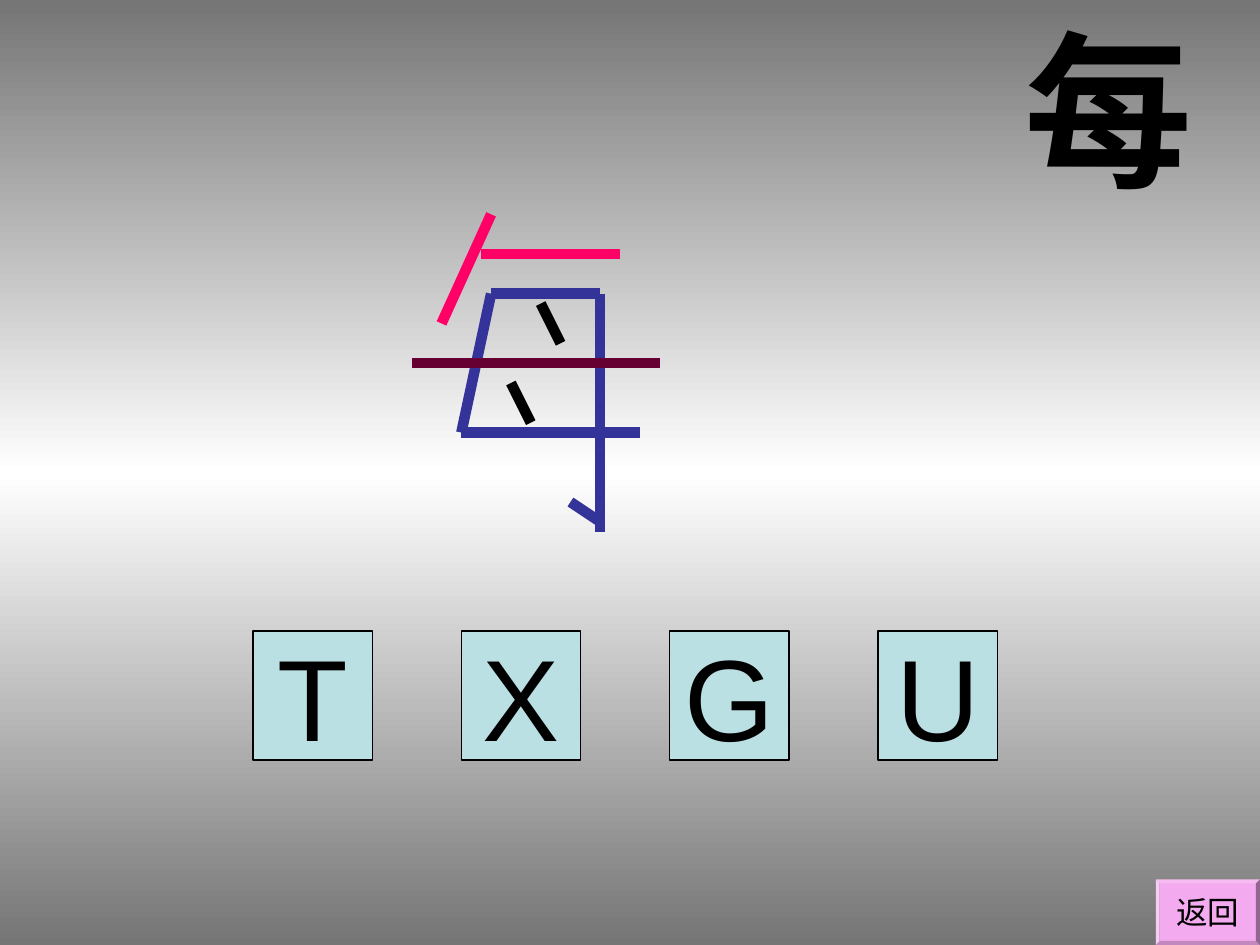
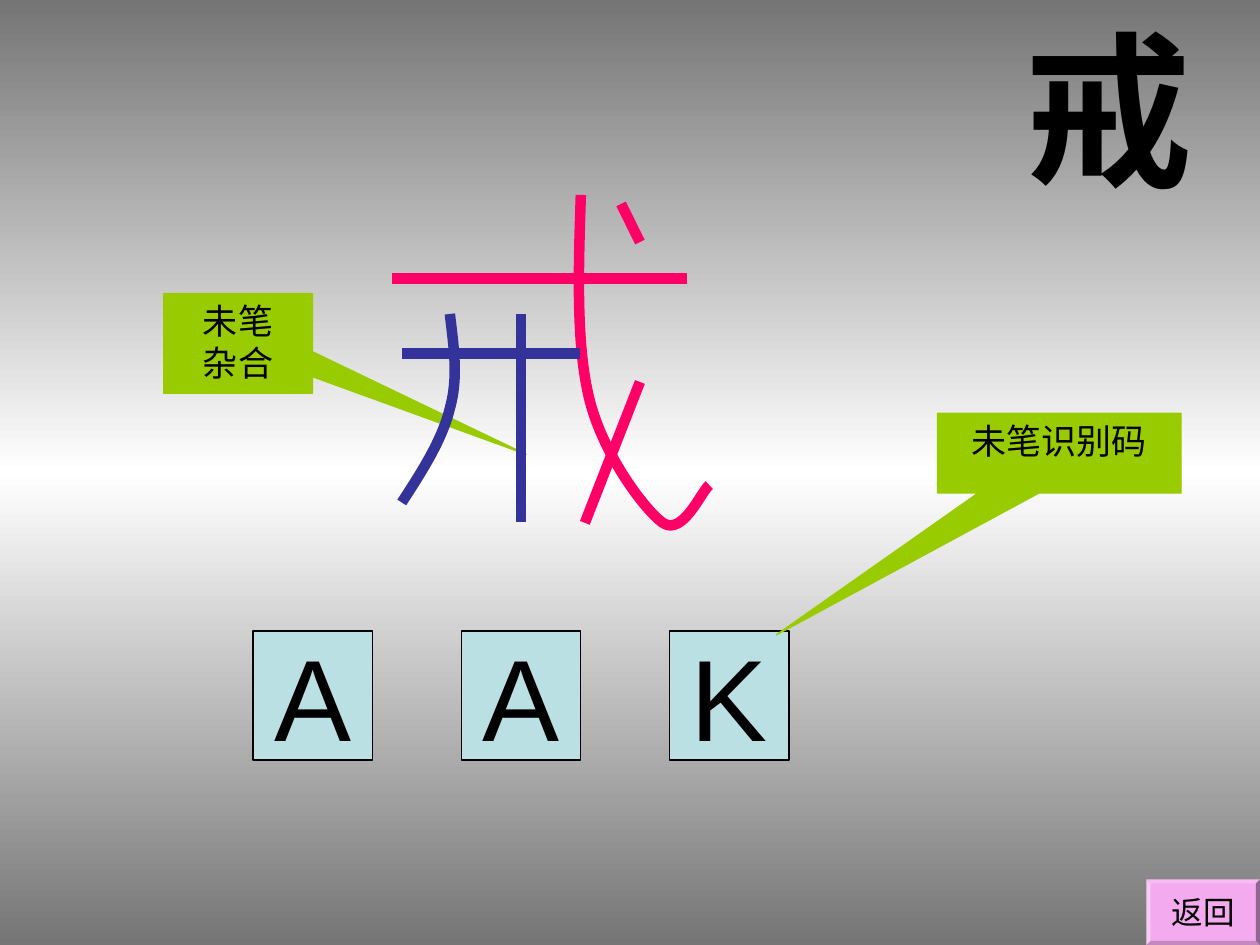
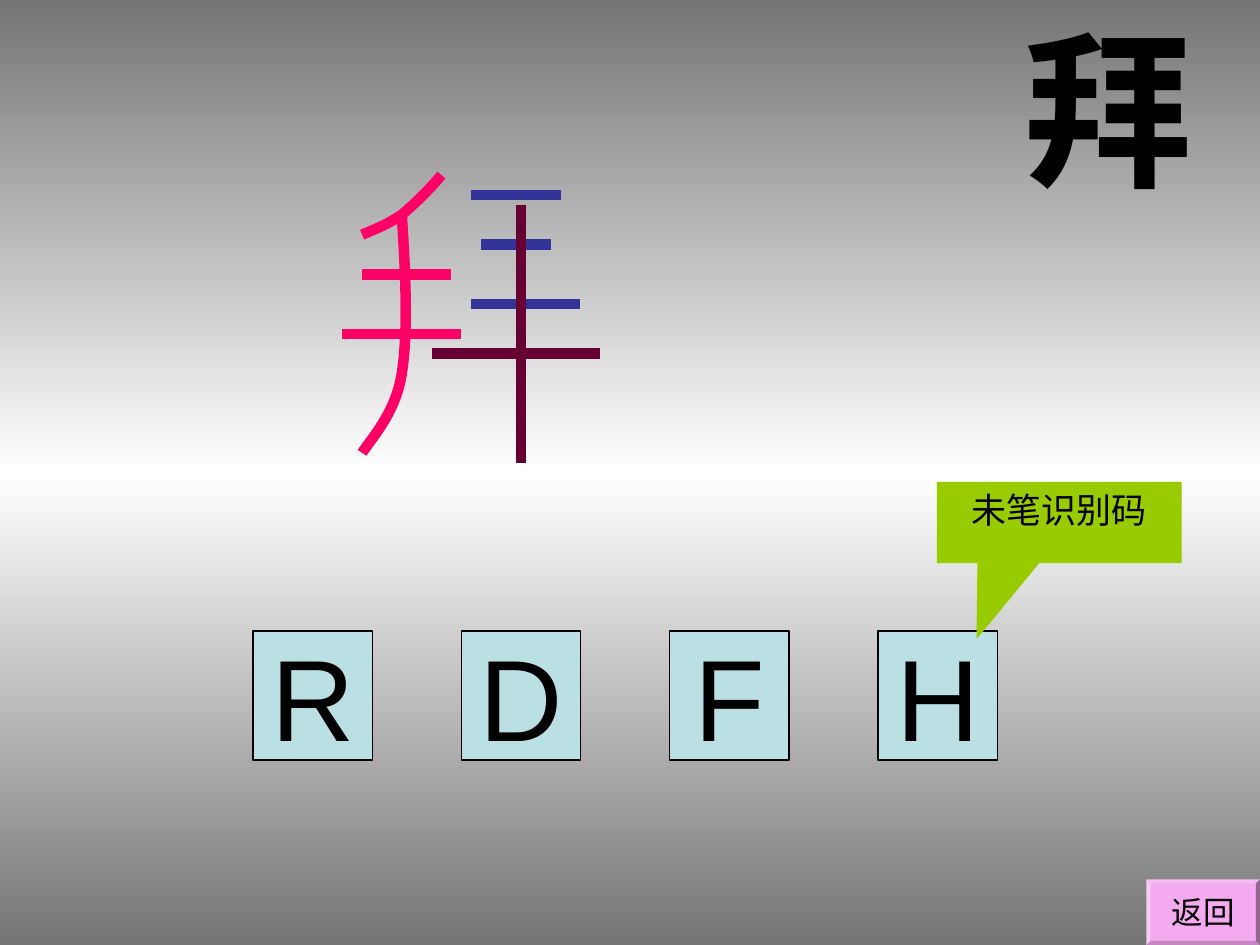
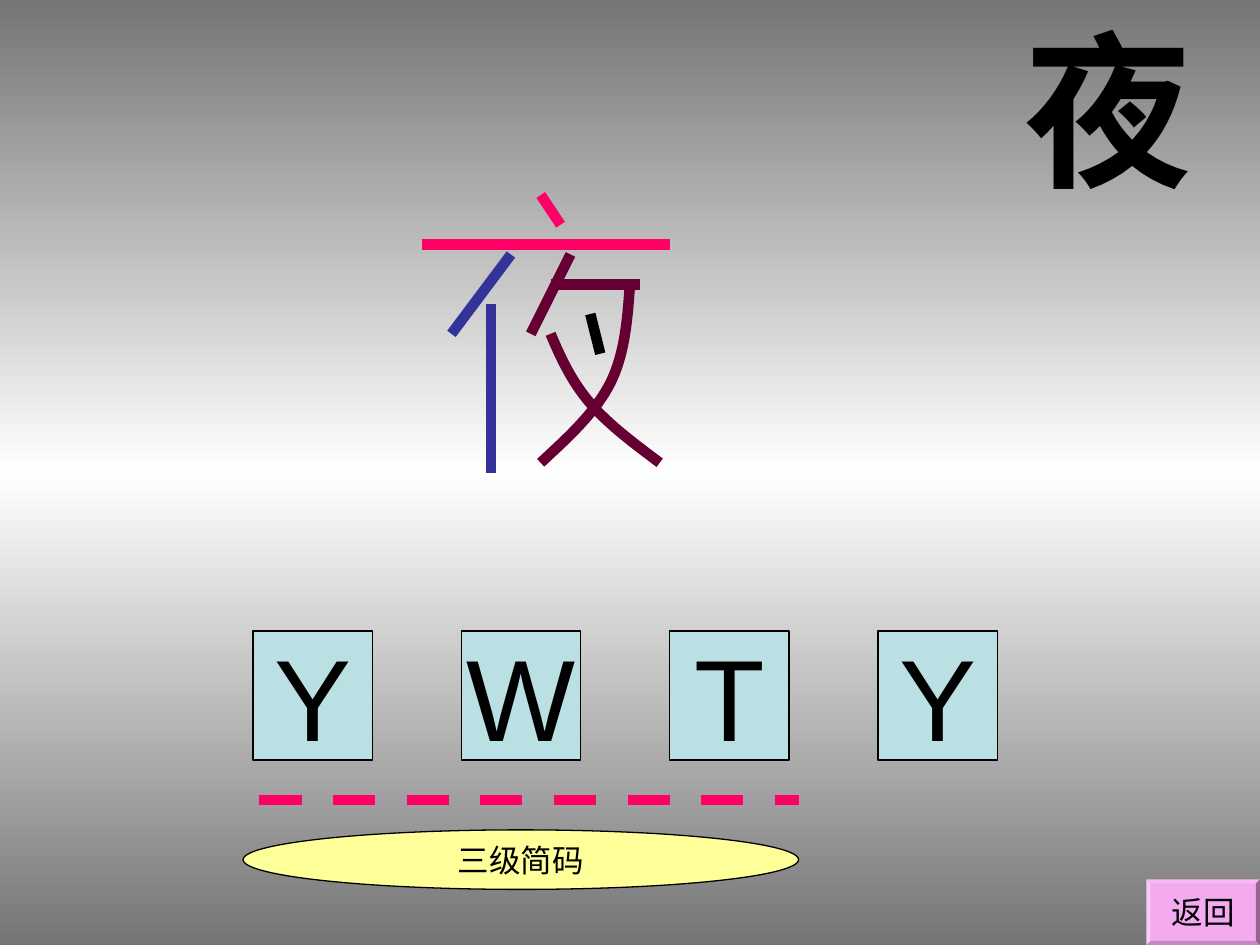
"""Build four slides that split Chinese characters into coloured strokes and key codes."""
import copy

import lxml.etree
import pptx
import pptx.dml.color
import pptx.enum.dml
import pptx.enum.shapes
import pptx.enum.text
import pptx.oxml.ns
import pptx.util

Cm = pptx.util.Cm
Pt = pptx.util.Pt
qn = pptx.oxml.ns.qn
SHAPES = pptx.enum.shapes.MSO_SHAPE
ALIGN = pptx.enum.text.PP_ALIGN
ANCHOR = pptx.enum.text.MSO_ANCHOR

PAGE_WIDTH, PAGE_HEIGHT = 25.4, 19.05
FONT = "Arial"
BLACK, RED, BLUE, MAROON = "000000", "FF0066", "333399", "660033"
KEY_FILL, NOTE_FILL, BUTTON_FILL, OVAL_FILL = "BBE0E3", "99CC00", "F4AAEF", "FFFF99"
BACKDROP = [(0, "757575"), (0.5, "FFFFFF"), (1, "757575")]
TITLE_BOX = (20.4, 0, 5.0, 4.32)
KEYS_BOX = (5.1, 12.72, 2.41, 2.6)
KEY_STEP = 4.2
BUTTON_HEIGHT = 1.32
STROKE_WIDTH = 6

CHARACTERS = [
    {
        "title": "每", "keys": "TXGU", "button": 2.1, "origin": (8.3, 4.32),
        "strokes": [
            (RED, [[(1.6, 0), (0.6, 2.2)], [(1.4, 0.8), (4.2, 0.8)]]),
            (BLUE, [
                [(1.6, 1.6), (1, 4.4)], [(1.6, 1.6), (3.8, 1.6)],
                [(3.8, 1.6), (3.8, 6.4)], [(3.2, 5.8), (3.8, 6.2)],
                [(1, 4.4), (4.6, 4.4)],
            ]),
            (MAROON, [[(0, 3), (5, 3)]]),
            (BLACK, [[(2.6, 1.8), (3, 2.6)], [(2, 3.4), (2.4, 4.2)]]),
        ],
    },
    {
        "title": "戒", "keys": "AAK", "button": 2.29, "origin": (7.9, 3.93),
        "notes": [
            ((18.9, 8.33, 4.91, 1.61), (-1.162, 2.277), ["未笔识别码"]),
            ((3.3, 5.92, 3, 2.01), (1.936, 1.112), ["未笔", "杂合"]),
        ],
        "strokes": [
            (RED, [
                [(0, 1.68), (5.94, 1.68)],
                [(3.81, 0), (3.76, 1.53), (3.71, 3.05), (3.99, 4.15), (4.27, 5.24),
                 (5.08, 6.33), (5.46, 6.61), (5.87, 6.89), (6.25, 5.95), (6.4, 5.85)],
                [(4.62, 0.18), (5, 0.95)], [(5, 3.77), (3.89, 6.61)],
            ]),
            (BLUE, [
                [(0.2, 3.2), (3.8, 3.2)], [(2.6, 2.4), (2.6, 6.6)],
                [(1.17, 2.4), (1.24, 3.03), (1.35, 3.66), (1.17, 4.3),
                 (1.02, 4.93), (0.61, 5.57), (0.2, 6.2)],
            ]),
        ],
    },
    {
        "title": "拜", "keys": "RDFH", "button": 2.29, "origin": (6.9, 3.53),
        "notes": [((18.9, 9.73, 4.91, 1.61), (-0.337, 1.439), ["未笔识别码"])],
        "strokes": [
            (RED, [
                [(2, 0), (1.74, 0.31), (1.46, 0.58), (1.2, 0.8),
                 (0.92, 0.99), (0.67, 1.09), (0.4, 1.2)],
                [(0.4, 2), (2.2, 2)], [(0, 3.2), (2.4, 3.2)],
                [(1.2, 0.8), (1.28, 2), (1.33, 3.2), (1.2, 4),
                 (1.08, 4.8), (0.57, 5.33), (0.4, 5.6)],
            ]),
            (BLUE, [
                [(2.6, 0.4), (4.4, 0.4)], [(2.8, 1.4), (4.2, 1.4)],
                [(2.6, 2.6), (4.8, 2.6)],
            ]),
            (MAROON, [[(1.8, 3.6), (5.2, 3.6)], [(3.6, 0.6), (3.6, 5.8)]]),
        ],
    },
    {
        "title": "夜", "keys": "YWTY", "button": 2.29, "origin": (8.5, 3.93),
        "short_code": ((4.9, 16.13, 11.2, 1.8), "三级简码"),
        "strokes": [
            (RED, [[(2.4, 0), (2.8, 0.6)], [(0, 1), (5, 1)]]),
            (BLUE, [[(1.8, 1.2), (0.6, 2.8)], [(1.4, 2.2), (1.4, 5.6)]]),
            (BLACK, [[(3.4, 2.4), (3.6, 3.2)]]),
            (MAROON, [
                [(3, 1.2), (2.2, 2.8)], [(2.6, 1.8), (4.4, 1.8)],
                [(4.2, 1.8), (4.15, 2.5), (4.1, 3.2), (3.8, 3.8),
                 (3.49, 4.4), (2.96, 4.88), (2.4, 5.4)],
                [(2.6, 2.8), (2.8, 3.28), (3.03, 3.77), (3.4, 4.2),
                 (3.77, 4.63), (4.28, 5.01), (4.8, 5.4)],
            ]),
        ],
    },
]


def rgb(hex_string):
    """Return the colour for a hex string."""
    return pptx.dml.color.RGBColor.from_string(hex_string)


def set_line(item, color, width):
    """Give a shape or connector a solid line."""
    item.line.color.rgb = rgb(color)
    item.line.width = Pt(width)


def write(shape, lines, size, align=ALIGN.CENTER, anchor=ANCHOR.MIDDLE, wrap=False, bold=False):
    """Write one paragraph per line into a shape."""
    frame = shape.text_frame
    frame.word_wrap = wrap
    frame.vertical_anchor = anchor
    frame.margin_left = frame.margin_right = Pt(7.2)
    frame.margin_top = frame.margin_bottom = Pt(3.6)
    for index, line in enumerate(lines):
        para = frame.add_paragraph() if index else frame.paragraphs[0]
        para.alignment = align
        span = para.add_run()
        span.text = line
        span.font.name = FONT
        span.font.size = Pt(size)
        span.font.bold = bold
        span.font.color.rgb = rgb(BLACK)


def add_filled(shapes, kind, box, fill, outline=None):
    """Add a flat preset shape with an optional thin outline."""
    shape = shapes.add_shape(kind, *map(Cm, box))
    shape.shadow.inherit = False
    shape.fill.solid()
    shape.fill.fore_color.rgb = rgb(fill)
    if outline:
        set_line(shape, outline, 0.75)
    else:
        shape.line.fill.background()
    return shape


def add_straight(shapes, start, end, color):
    """Add a thick straight stroke."""
    connector = shapes.add_connector(
        pptx.enum.shapes.MSO_CONNECTOR.STRAIGHT, *map(Cm, (*start, *end)))
    set_line(connector, color, STROKE_WIDTH)
    lxml.etree.SubElement(connector.element.spPr, qn("a:effectLst"))
    return connector


def add_curve(shapes, points, color):
    """Add a thick stroke of cubic segments through a start and triples of points."""
    start, *rest = [(Cm(x), Cm(y)) for x, y in points]
    builder = shapes.build_freeform(*start)
    builder.add_line_segments(rest, close=False)
    shape = builder.convert_to_shape()
    shape.shadow.inherit = False
    shape.fill.background()
    set_line(shape, color, STROKE_WIDTH)
    outline = next(shape.element.iter(qn("a:path")))
    corners = outline.findall(qn("a:lnTo"))
    for first in range(0, len(corners), 3):
        curve = lxml.etree.SubElement(outline, qn("a:cubicBezTo"))
        for corner in corners[first:first + 3]:
            curve.append(corner[0])
            outline.remove(corner)


def add_glyph(page, origin, strokes):
    """Draw a character from its origin, one group per colour."""
    left, top = origin
    for color, lines in strokes:
        shapes = page.shapes.add_group_shape().shapes if len(lines) > 1 else page.shapes
        for line in lines:
            points = [(left + x, top + y) for x, y in line]
            if len(points) == 2:
                add_straight(shapes, *points, color)
            else:
                add_curve(shapes, points, color)


def add_title(page, text, box):
    """Place the character as the slide title."""
    title = page.shapes.title
    title.left, title.top, title.width, title.height = map(Cm, box)
    write(title, [text], 96, ALIGN.LEFT, ANCHOR.TOP, wrap=True, bold=True)
    title.text_frame.auto_size = pptx.enum.text.MSO_AUTO_SIZE.SHAPE_TO_FIT_TEXT


def add_keys(page, letters, box):
    """Lay out the key caps in a row from the first key's box."""
    left, top, width, height = box
    for index, letter in enumerate(letters):
        key_box = (left + index * KEY_STEP, top, width, height)
        key = add_filled(page.shapes, SHAPES.RECTANGLE, key_box, KEY_FILL, BLACK)
        write(key, [letter], 66)


def add_note(page, box, tip, lines):
    """Add a callout whose tip is given relative to its size."""
    note = add_filled(page.shapes, SHAPES.RECTANGULAR_CALLOUT, box, NOTE_FILL, NOTE_FILL)
    note.adjustments[0], note.adjustments[1] = tip
    write(note, lines, 20, anchor=ANCHOR.TOP, wrap=True)


def add_short_code(page, box, label):
    """Add a dashed rule along the top of the box and a labelled oval below it."""
    left, top, width, height = box
    shapes = page.shapes.add_group_shape().shapes
    rule = add_straight(shapes, (left + 0.33, top), (left + width, top), RED)
    rule.line.dash_style = pptx.enum.dml.MSO_LINE.DASH
    oval_box = (left, top + 0.6, width, height - 0.6)
    write(add_filled(shapes, SHAPES.OVAL, oval_box, OVAL_FILL, BLACK), [label], 18)


def add_button(page, width):
    """Add the return button in the bottom right corner."""
    box = (PAGE_WIDTH - width, PAGE_HEIGHT - BUTTON_HEIGHT, width, BUTTON_HEIGHT)
    button = add_filled(page.shapes, SHAPES.BEVEL, box, BUTTON_FILL)
    button.adjustments[0] = 0.06
    write(button, ["返回"], 18)


def set_backdrop(master):
    """Give the master a vertical gradient that every slide inherits."""
    fill = master.background.fill
    fill.gradient()
    fill.gradient_angle = 90
    stop_list = next(master.element.iter(qn("a:gsLst")))
    stop_list.append(copy.deepcopy(stop_list[0]))
    for stop, (position, color) in zip(fill.gradient_stops, BACKDROP):
        stop.position = position
        stop.color.rgb = rgb(color)


def add_character_page(deck, character):
    """Add the slide for one character."""
    page = deck.slides.add_slide(deck.slide_layouts[5])
    add_title(page, character["title"], TITLE_BOX)
    add_keys(page, character["keys"], KEYS_BOX)
    for note in character.get("notes", []):
        add_note(page, *note)
    if "short_code" in character:
        add_short_code(page, *character["short_code"])
    add_button(page, character["button"])
    add_glyph(page, character["origin"], character["strokes"])


def main():
    """Build and save the deck."""
    deck = pptx.Presentation()
    deck.slide_width, deck.slide_height = Cm(PAGE_WIDTH), Cm(PAGE_HEIGHT)
    set_backdrop(deck.slide_master)
    for character in CHARACTERS:
        add_character_page(deck, character)
    deck.save("out.pptx")


if __name__ == "__main__":
    main()
